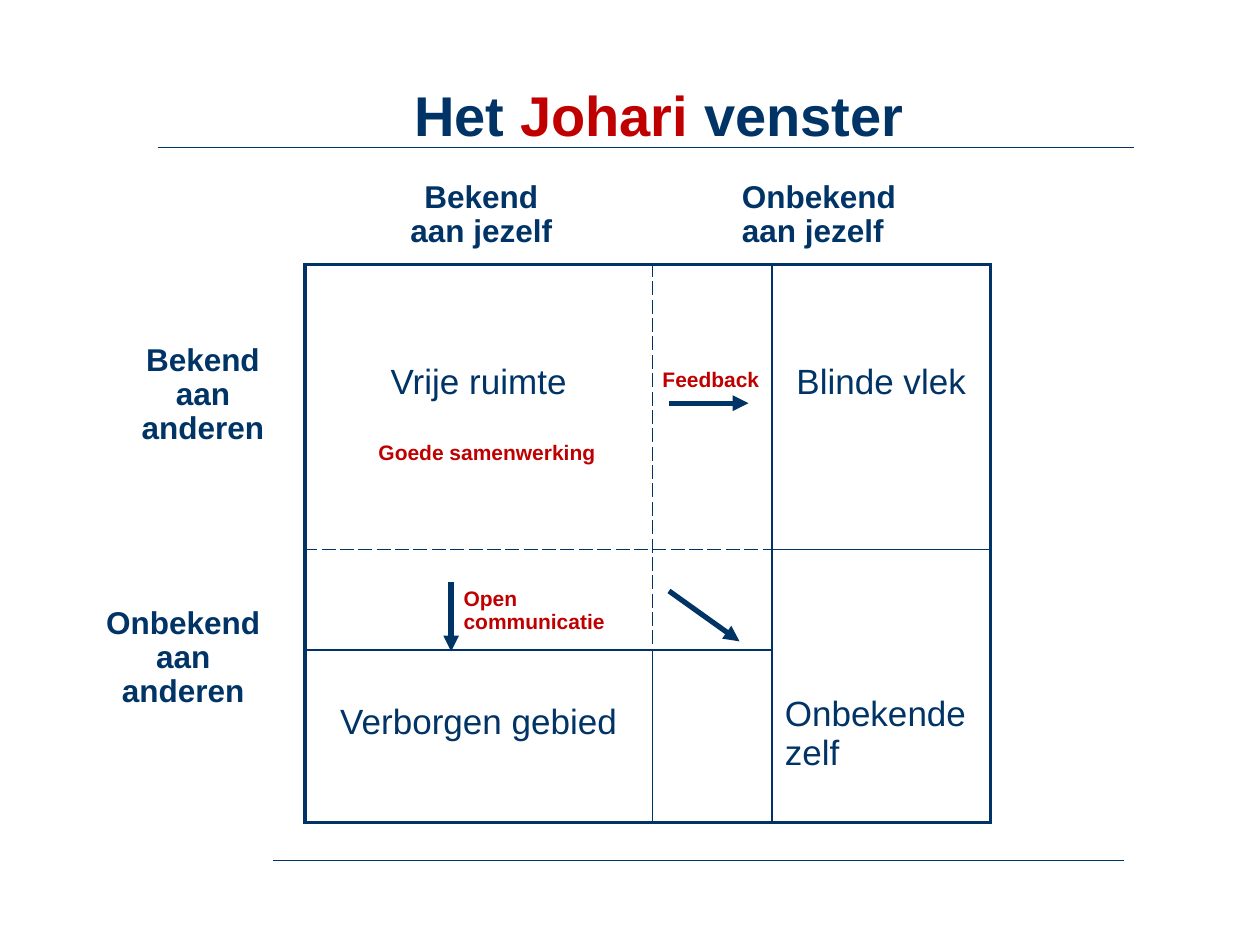
"""Build the Johari window slide."""
from dataclasses import dataclass

from lxml import etree
from pptx import Presentation
from pptx.dml.color import RGBColor
from pptx.enum.shapes import MSO_CONNECTOR
from pptx.enum.text import MSO_ANCHOR, PP_ALIGN
from pptx.oxml.ns import qn
from pptx.util import Pt

STRAIGHT = MSO_CONNECTOR.STRAIGHT
TOP, BOTTOM = MSO_ANCHOR.TOP, MSO_ANCHOR.BOTTOM
LEFT, CENTER = PP_ALIGN.LEFT, PP_ALIGN.CENTER


@dataclass(frozen=True)
class Theme:
    font: str = "Arial"
    navy: str = "003366"
    red: str = "C00000"
    title: int = 32
    cell: int = 20
    label: int = 18
    note: int = 12


T = Theme()

TITLE = [("Het ", T.navy), ("Johari ", T.red), ("venster", T.navy)]
TITLE_BOX = (229.7, 43.2, 303.8, 45.4)
LABELS = [
    ("Onbekend aan anderen", (48.2, 343.4, 113, 65.5), CENTER),
    ("Bekend aan anderen", (70.6, 193, 90.7, 65.5), CENTER),
    ("Bekend aan jezelf", (223.9, 100.1, 102.2, 46.1), CENTER),
    ("Onbekend aan jezelf", (416.9, 100.1, 108, 46.1), LEFT),
]
NOTES = [
    ("Feedback", (371.5, 207.4, 69.8, 20.2), LEFT, BOTTOM, False, 0.9),
    ("Open\vcommunicatie", (257.8, 332.6, 95, 33.1), LEFT, BOTTOM, False, 0.9),
    ("Goede samenwerking", (208.1, 247.7, 140.4, 21.6), CENTER, TOP, True, 1),
]
RULES = [(90, 84.2, 648, 84.2), (156.2, 491.8, 642.2, 491.8)]
ARROWS = [
    (382.3, 230.4, 427.7, 230.4),
    (382.3, 337.7, 422.6, 366.5),
    (257.8, 332.6, 257.8, 372.2),
]
GRID_AT = (174.2, 151.2)
COLS = [198.7, 68.4, 124.6]
ROWS = [162.7, 57.6, 98.6]
CELLS = {
    (0, 0): ("Vrije ruimte", CENTER, 56),
    (0, 2): ("Blinde vlek", CENTER, 56),
    (1, 2): ("Onbekende zelf", LEFT, 83),
    (2, 0): ("Verborgen gebied", CENTER, 30),
}
BORDERS = {"o": (2.25, "solid"), "s": (1, "solid"), "d": (1, "dash")}
VERTICAL = ["odso", "odso", "osso"]
HORIZONTAL = ["ooo", "dds", "ss ", "ooo"]


def style(p, size, color, bold, align=LEFT, spacing=1):
    f = p.font
    f.name, f.size, f.bold = T.font, Pt(size), bold
    if color:
        f.color.rgb = RGBColor.from_string(color)
    p.alignment, p.line_spacing = align, spacing


def add_text(s, box, anchor=BOTTOM, wrap=True):
    tf = s.shapes.add_textbox(*map(Pt, box)).text_frame
    tf.word_wrap, tf.vertical_anchor = wrap, anchor
    return tf.paragraphs[0]


def add_line(s, ends, width, arrow=False):
    c = s.shapes.add_connector(STRAIGHT, *map(Pt, ends))
    c.line.width = Pt(width)
    c.line.color.rgb = RGBColor.from_string(T.navy)
    if arrow:
        etree.SubElement(c.line._ln, qn("a:tailEnd"), type="triangle")
    etree.SubElement(c._element.spPr, qn("a:effectLst"))


def set_borders(cell, kinds):
    tcPr = cell._tc.get_or_add_tcPr()
    for i, (side, kind) in enumerate(zip("LRTB", kinds)):
        width, dash = BORDERS.get(kind, (0, "solid"))
        ln = etree.Element(qn(f"a:ln{side}"), w=str(Pt(width)))
        if width:
            fill = etree.SubElement(ln, qn("a:solidFill"))
            etree.SubElement(fill, qn("a:srgbClr"), val=T.navy)
            etree.SubElement(ln, qn("a:prstDash"), val=dash)
        else:
            etree.SubElement(ln, qn("a:noFill"))
        tcPr.insert(i, ln)


def add_grid(s):
    frame = s.shapes.add_table(len(ROWS), len(COLS), *map(Pt, (*GRID_AT, sum(COLS), sum(ROWS))))
    table = frame.table
    table.first_row = table.horz_banding = False
    for col, width in zip(table.columns, COLS):
        col.width = Pt(width)
    for row, height in zip(table.rows, ROWS):
        row.height = Pt(height)
    table.cell(1, 2).merge(table.cell(2, 2))
    for r in range(len(ROWS)):
        for c in range(len(COLS)):
            cell = table.cell(r, c)
            cell.fill.background()
            below = r + (cell.span_height if cell.is_merge_origin else 1)
            set_borders(cell, VERTICAL[r][c:c + 2] + HORIZONTAL[r][c] + HORIZONTAL[below][c])
            if (r, c) in CELLS:
                text, align, top = CELLS[r, c]
                cell.margin_top = Pt(top)
                p = cell.text_frame.paragraphs[0]
                p.text = text
                style(p, T.cell, T.navy, False, align)


prs = Presentation()
prs.slide_width, prs.slide_height = Pt(720), Pt(540)
s = prs.slides.add_slide(prs.slide_layouts[6])

for ends in RULES:
    add_line(s, ends, 0.75)

p = add_text(s, TITLE_BOX)
style(p, T.title, None, True, spacing=0.9)
for text, color in TITLE:
    r = p.add_run()
    r.text = text
    r.font.color.rgb = RGBColor.from_string(color)

add_grid(s)

for text, box, align in LABELS:
    p = add_text(s, box)
    p.text = text
    style(p, T.label, T.navy, True, align, 0.9)

for ends in ARROWS:
    add_line(s, ends, 3, arrow=True)

for text, box, align, anchor, wrap, spacing in NOTES:
    p = add_text(s, box, anchor, wrap)
    p.text = text
    style(p, T.note, T.red, True, align, spacing)

prs.save("out.pptx")
